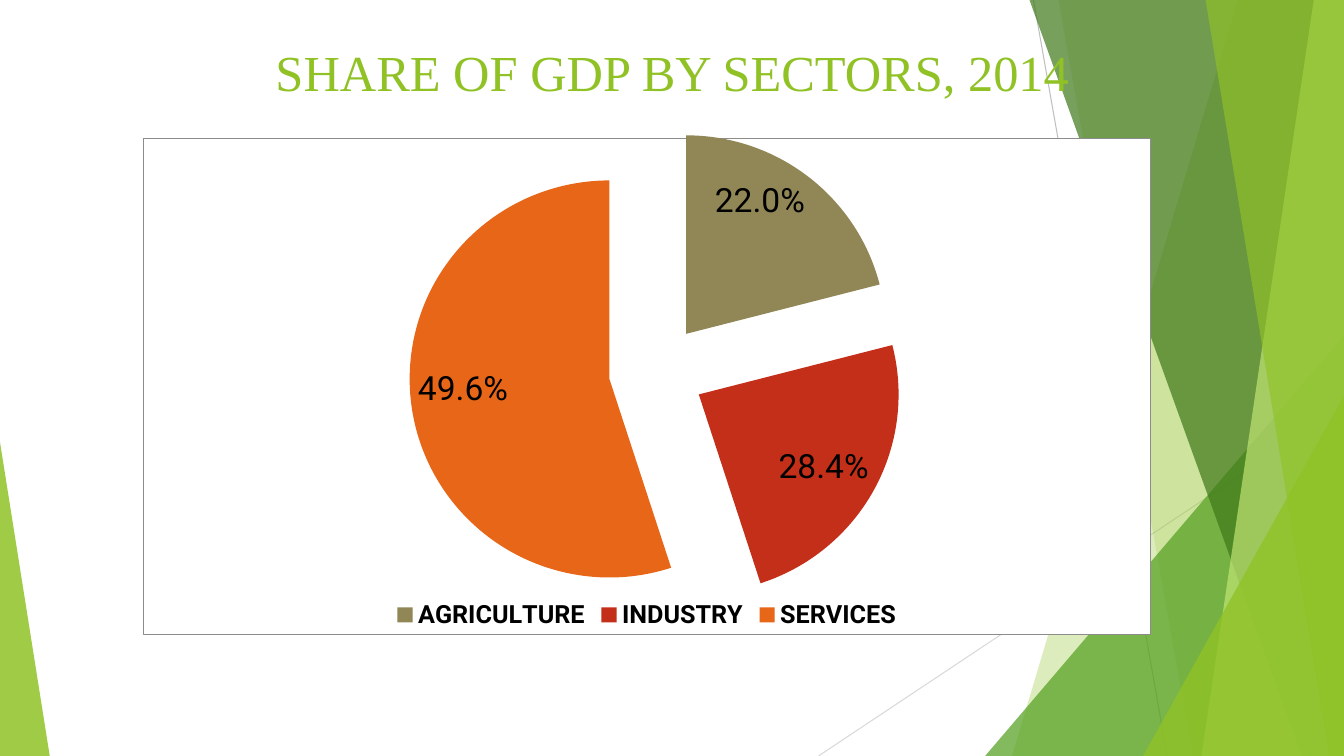
from lxml import etree
from pptx import Presentation
from pptx.chart.data import CategoryChartData
from pptx.dml.color import RGBColor
from pptx.enum.chart import XL_CHART_TYPE, XL_LABEL_POSITION, XL_LEGEND_POSITION
from pptx.enum.shapes import MSO_CONNECTOR, MSO_SHAPE
from pptx.enum.text import MSO_ANCHOR, PP_ALIGN
from pptx.oxml import parse_xml
from pptx.oxml.ns import qn
from pptx.util import Inches, Pt

PIE = XL_CHART_TYPE.PIE
INSIDE_END = XL_LABEL_POSITION.INSIDE_END
LEGEND_BOTTOM = XL_LEGEND_POSITION.BOTTOM
STRAIGHT = MSO_CONNECTOR.STRAIGHT
TRIANGLE = MSO_SHAPE.ISOSCELES_TRIANGLE
BOTTOM = MSO_ANCHOR.BOTTOM
CENTER = PP_ALIGN.CENTER

LIME = "90C226"
NAMESPACES = (
    'xmlns:c="http://schemas.openxmlformats.org/drawingml/2006/chart" '
    'xmlns:a="http://schemas.openxmlformats.org/drawingml/2006/main"'
)


def rgb(code):
    return RGBColor.from_string(code)


class FacetSlide:
    title_font = "Times New Roman"
    chart_font = "Roboto"
    text_color = "000000"
    paper = "FFFFFF"
    frame = "8C8C8C"

    def __init__(self, deck):
        self.width, self.height = deck.slide_width, deck.slide_height
        self.slide = deck.slides.add_slide(deck.slide_layouts[6])
        self.shapes = self.slide.shapes

    def x(self, percent):
        return round(self.width * percent / 100)

    def y(self, percent):
        return round(self.height * percent / 100)

    def box(self, left, top, width, height):
        return self.x(left), self.y(top), self.x(width), self.y(height)

    def paint(self, shape, color, opacity):
        shape.shadow.inherit = False
        shape.fill.solid()
        shape.fill.fore_color.rgb = rgb(color)
        shape.line.fill.background()
        fill = shape.fill._xPr.find(qn("a:solidFill"))[0]
        etree.SubElement(fill, qn("a:alpha"), val=str(opacity * 1000))

    def line(self, start, end, color):
        ray = self.shapes.add_connector(
            STRAIGHT, self.x(start[0]), self.y(start[1]), self.x(end[0]), self.y(end[1]))
        ray.line.color.rgb = rgb(color)
        ray.line.width = Pt(0.75)
        etree.SubElement(ray._element.spPr, qn("a:effectLst"))

    def wedge(self, top, bottom, color, opacity):
        outline = self.shapes.build_freeform(self.x(top), 0)
        outline.add_line_segments(
            [(self.width, 0), (self.width, self.height), (self.x(bottom), self.height)])
        self.paint(outline.convert_to_shape(), color, opacity)

    def corner(self, left, top, width, apex, color, opacity):
        triangle = self.shapes.add_shape(TRIANGLE, *self.box(left, top, width, 100 - top))
        triangle.adjustments[0] = apex
        self.paint(triangle, color, opacity)

    def style(self, font, size, family, color, bold=False):
        font.size, font.name, font.bold = Pt(size), family, bold
        font.color.rgb = rgb(color)

    def title(self, text, *place):
        frame = self.shapes.add_textbox(*self.box(*place)).text_frame
        frame.word_wrap = True
        frame.vertical_anchor = BOTTOM
        frame.margin_bottom = Inches(0.18)
        frame.text = text
        heading = frame.paragraphs[0]
        heading.alignment = CENTER
        self.style(heading.runs[0].font, 36, self.title_font, LIME)

    def pie(self, sectors, explosion, *place):
        data = CategoryChartData()
        data.categories = [name for name, *_ in sectors]
        data.add_series("Series 1", [value for _, value, *_ in sectors])
        chart = self.shapes.add_chart(PIE, *self.box(*place), data).chart
        chart.has_title = False
        self.style(chart.font, 10, self.chart_font, self.text_color)
        chart.has_legend = True
        chart.legend.position = LEGEND_BOTTOM
        chart.legend.include_in_layout = False
        self.style(chart.legend.font, 18, self.chart_font, self.text_color, True)
        plot = chart.plots[0]
        plot.vary_by_categories = True
        shares = plot.series[0]
        for index, (_, _, share, color) in enumerate(sectors):
            point = shares.points[index]
            point.format.fill.solid()
            point.format.fill.fore_color.rgb = rgb(color)
            label = point.data_label
            label.text_frame.text = share
            self.style(label.text_frame.paragraphs[0].runs[0].font, 24,
                       self.chart_font, self.text_color)
            label.position = INSIDE_END
        for slice_format in shares._element.findall(qn("c:dPt")):
            slice_format.find(qn("c:spPr")).addprevious(
                parse_xml(f'<c:explosion {NAMESPACES} val="{explosion}"/>'))
        self.frame_chart(chart)

    def frame_chart(self, chart):
        space = chart._chartSpace
        space.find(qn("c:chart")).addnext(parse_xml(
            f'<c:spPr {NAMESPACES}><a:solidFill><a:srgbClr val="{self.paper}"/></a:solidFill>'
            f'<a:ln w="{Pt(0.5)}"><a:solidFill><a:srgbClr val="{self.frame}"/></a:solidFill>'
            '</a:ln></c:spPr>'))
        area = space.find(qn("c:chart")).find(qn("c:plotArea"))
        for layout in area.findall(qn("c:layout")):
            area.remove(layout)
        edges = {"x": 0.31, "y": 0.07, "w": 0.4, "h": 0.8}
        sizes = "".join(f'<c:{edge} val="{share}"/>' for edge, share in edges.items())
        area.insert(0, parse_xml(
            f'<c:layout {NAMESPACES}><c:manualLayout><c:layoutTarget val="inner"/>'
            f'<c:xMode val="edge"/><c:yMode val="edge"/>{sizes}</c:manualLayout></c:layout>'))


deck = Presentation()
deck.slide_width, deck.slide_height = Inches(13.33), Inches(7.5)
gdp = FacetSlide(deck)

gdp.line((76.9, 0), (86.85, 100), "BFBFBF")
gdp.line((100, 53.75), (60.9, 100), "D9D9D9")
for facet in [(92.1, 75.3, LIME, 30), (78.75, 88.75, LIME, 20)]:
    gdp.wedge(*facet)
gdp.corner(73.3, 44.4, 26.7, 1, "54A021", 72)
for facet in [(76.6, 96.85, "3F7819", 70), (97.75, 89.4, "C0E474", 70),
              (89.7, 98.9, LIME, 65)]:
    gdp.wedge(*facet)
gdp.corner(85.05, 52.4, 14.95, 1, LIME, 80)
gdp.corner(0, 58.5, 3.7, 0, LIME, 85)

gdp.title("SHARE OF GDP BY SECTORS, 2014", 6.9, -3.5, 86.25, 19.35)
gdp.pie([("AGRICULTURE", 21, "22.0%", "918655"),
         ("INDUSTRY", 24, "28.4%", "C42F1A"),
         ("SERVICES", 55, "49.6%", "E76618")],
        24, 10.65, 17.9, 74.95, 66.1)

deck.save("out.pptx")
